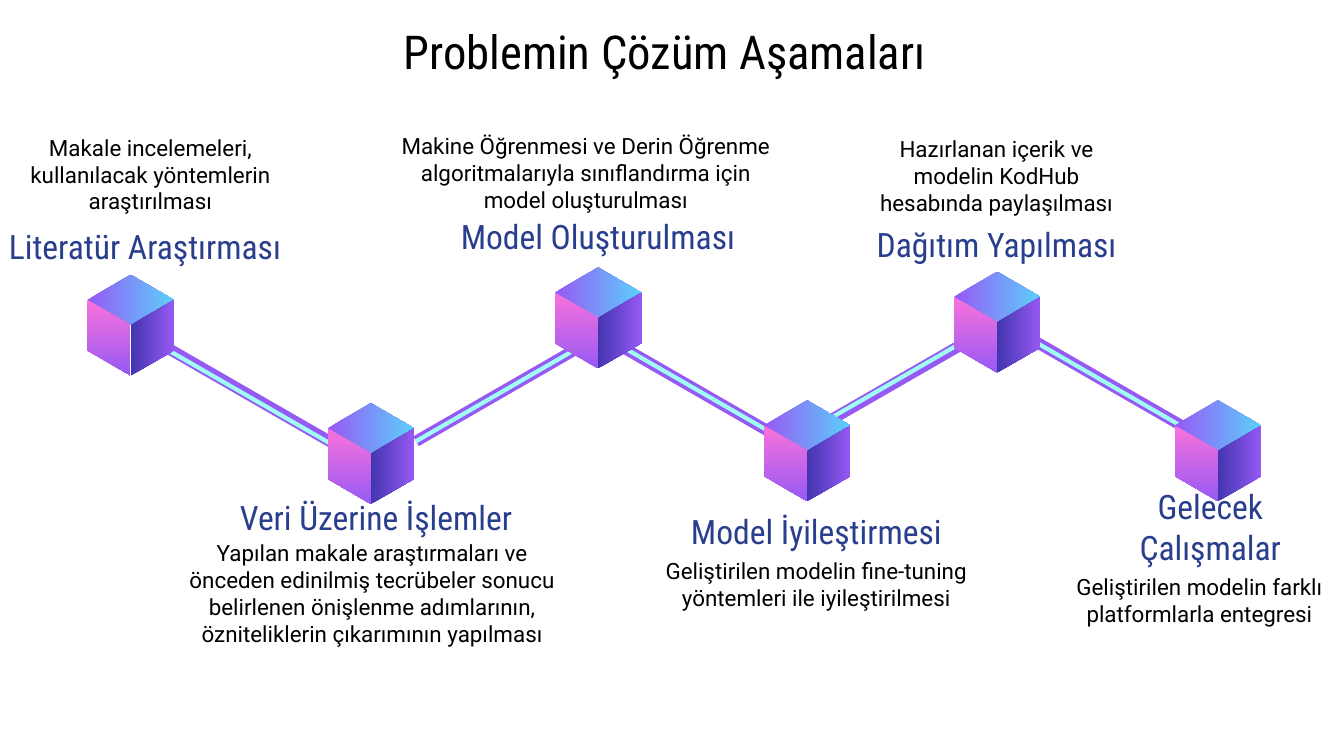
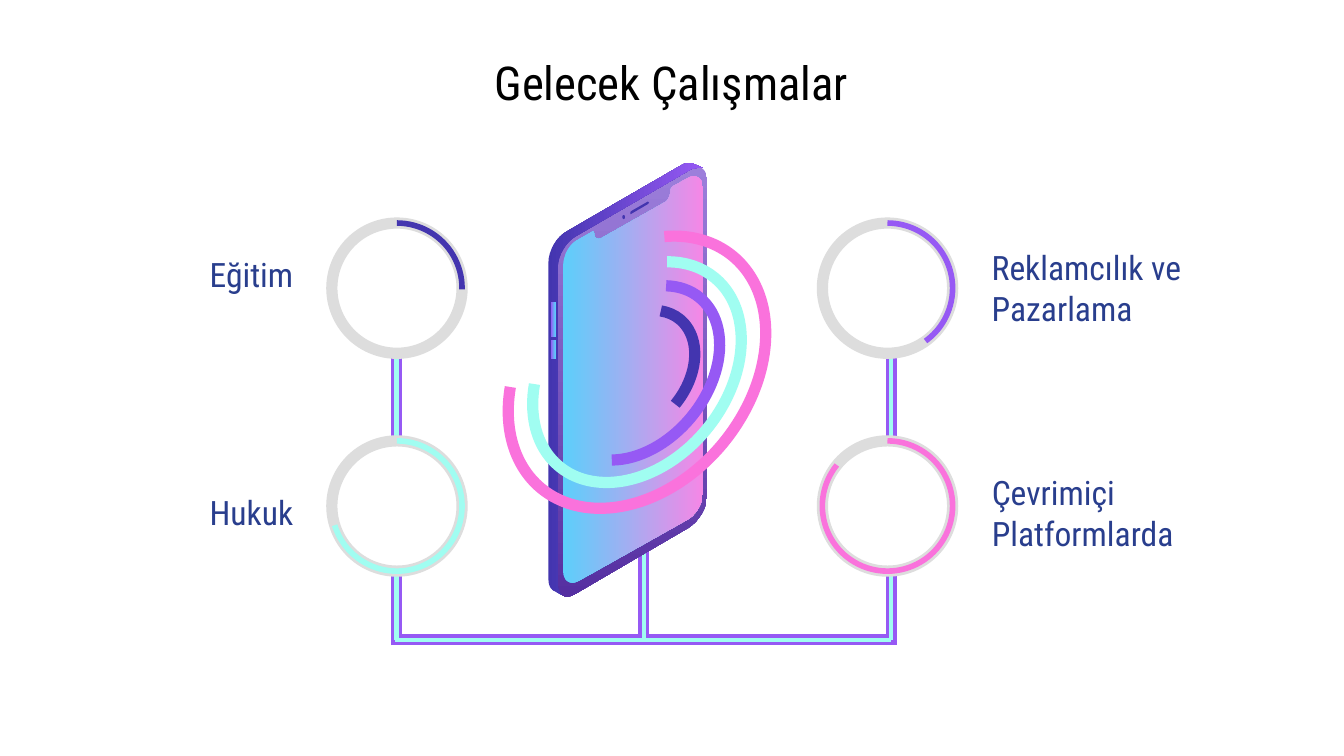
from pptx import Presentation
from pptx.dml.color import RGBColor
from pptx.enum.shapes import MSO_CONNECTOR, MSO_SHAPE
from pptx.enum.text import MSO_ANCHOR, MSO_AUTO_SIZE, PP_ALIGN
from pptx.oxml.ns import qn
from pptx.util import Pt
from lxml.etree import SubElement

BLACK, WHITE, NAVY, GREY = "000000", "FFFFFF", "293E8D", "DDDDDD"
PURPLE, AQUA, PINK, INDIGO, SKY = "9659F4", "A0FDF1", "FA72DC", "4335AF", "5CCFFB"
HEADING_FONT, BODY_FONT = "Roboto Condensed", "Roboto"
WIRE_STYLES = ((PURPLE, 6), (AQUA, 2.25))

CUBE_WIDTH, CUBE_HEIGHT = 46.5, 54
LINK_RUN, LINK_DROP = 100.4, 57.8
LINKS = [
    (323.3, 178.6, -1, 0, 0),
    (525.6, 178.6, -1, -2.9, 0.7),
    (321.8, 179.3, 1, 11.5, 6.5),
    (88.6, 185.8, 1, 2.2, 2.2),
    (555.8, 183.6, 1, 0.7, 0.7),
]
STAGES = [
    ((46.8, 147.2), "Literatür Araştırması", (-6.5, 121.7, 168.5, 20.2),
     "Makale incelemeleri, kullanılacak yöntemlerin araştırılması", (-3.6, 71.3, 168.5, 43.9)),
    ((175.5, 216), "Veri Üzerine İşlemler", (120.2, 267.1, 162.7, 20.2),
     "Yapılan makale araştırmaları ve önceden edinilmiş tecrübeler sonucu belirlenen "
     "önişlenme adımlarının, özniteliklerin çıkarımının yapılması", (93.6, 295.9, 211.7, 43.9)),
    ((297.2, 143.3), "Model Oluşturulması", (234.7, 116.6, 171.4, 20.2),
     "Makine Öğrenmesi ve Derin Öğrenme algoritmalarıyla sınıflandırma için model oluşturulması",
     (205.9, 70.6, 216, 43.9)),
    ((409.2, 214.5), "Model İyileştirmesi", (338.4, 272.9, 198, 23),
     "Geliştirilen modelin fine-tuning yöntemleri ile iyileştirilmesi", (347, 290.9, 180.7, 43.9)),
    ((511, 145.6), "Dağıtım Yapılması", (460.1, 119.5, 147.6, 23),
     "Hazırlanan içerik ve modelin KodHub hesabında paylaşılması", (460.1, 72, 147.6, 43.9)),
    ((629.3, 214.5), "Gelecek Çalışmalar", (574.6, 272, 147.6, 20.2),
     "Geliştirilen modelin farklı platformlarla entegresi", (568.8, 299.5, 147.6, 43.9)),
]

PHONE_BACK = [
    (79.2, 2.2), (78.5, 2.2, 77, 2.9, 74.9, 3.6), (14.4, 38.9),
    (9.4, 41.8, 5, 49.7, 5, 55.4), (5, 225.4), (5, 229.7, 7.2, 232.6, 10.1, 232.6),
    (11.5, 232.6, 13, 231.8, 14.4, 231.1), (74.9, 195.8),
    (80.6, 192.2, 85, 185, 85, 178.6), (85, 9.4), (85, 5, 82.8, 2.2, 79.2, 2.2),
]
PHONE_SCREEN = [
    (16.6, 41), (23, 37.4), (23.8, 36.7, 24.5, 36.7, 24.5, 38.2),
    (24.5, 40.3, 26.6, 41.8, 28.8, 40.3), (61.9, 21.6),
    (64.1, 20.9, 65.5, 17.3, 65.5, 15.1), (65.5, 13.7, 66.2, 13, 67.7, 12.2),
    (74.2, 8.6), (78.5, 5.8, 82.8, 7.9, 82.8, 13.7), (82.8, 177.1),
    (82.8, 182.9, 78.5, 189.4, 74.2, 191.5), (16.6, 223.9),
    (11.5, 226.8, 7.9, 223.9, 7.9, 218.9), (7.9, 55.4),
    (7.9, 49.7, 11.5, 43.2, 16.6, 41),
]
PHONE_EDGE = [
    (75.6, 0), (74.2, 0, 72.7, 0.7, 71.3, 1.4), (10.1, 36.7),
    (4.3, 39.6, 0, 47.5, 0, 53.3), (0, 223.2), (0, 226.8, 1.4, 229, 3.6, 229.7),
    (7.2, 231.8), (5.8, 230.4, 5, 228.2, 5, 225.4), (5, 56.2),
    (5, 49.7, 9.4, 42.5, 14.4, 39.6), (76.3, 3.6),
    (77.8, 2.9, 79.2, 2.9, 80.6, 2.9), (82.8, 2.9), (77.8, 0.7),
    (77, 0, 76.3, 0, 75.6, 0),
]
PHONE_SPEAKER = [
    (44.6, 27.4), (53.3, 22.3), (54, 21.6), (53.3, 20.9), (44.6, 25.9),
    (43.9, 26.6), (43.9, 27.7),
]

RING_SIZE = 69.8
TOPICS = [
    ((177.8, 236.2), WHITE, AQUA, 97.69, "Hukuk", (20.2, 243.4, 144, 61.9), PP_ALIGN.RIGHT),
    ((440.6, 236.2), WHITE, PINK, 131.42, "Çevrimiçi Platformlarda",
     (524.2, 243.4, 167, 62.6), PP_ALIGN.LEFT),
    ((177.8, 119.5), None, INDIGO, 0.65, "Eğitim", (20.2, 100.8, 144, 92.2), PP_ALIGN.RIGHT),
    ((440.6, 119.5), None, PURPLE, 32.56, "Reklamcılık ve Pazarlama",
     (524.2, 127.4, 144, 53.3), PP_ALIGN.LEFT),
]
WAVES = [
    ((281.5, 118.8, 119.5, 161.3), PINK, 145.15, 80.31),
    ((293, 133.9, 96.5, 131), AQUA, 147.47, 80.31),
    ((304.6, 147.6, 74.2, 104.4), PURPLE, 149.1, 40.28),
    ((313.9, 162.7, 54, 73.4), INDIGO, 151.35, 0),
]


def color(value):
    return RGBColor.from_string(value)


def lengths(box):
    return [Pt(value) for value in box]


def write(box, text, size, font, ink, align):
    frame = box.text_frame
    frame.word_wrap = True
    frame.auto_size = MSO_AUTO_SIZE.NONE
    frame.vertical_anchor = MSO_ANCHOR.MIDDLE
    frame.margin_left = frame.margin_right = Pt(7.2)
    frame.margin_top = frame.margin_bottom = Pt(7.2)
    para = frame.paragraphs[0]
    para.alignment = align
    span = para.add_run()
    span.text = text
    span.font.size = Pt(size)
    span.font.name = font
    span.font.color.rgb = color(ink)


def add_title(page, box, text):
    title = page.shapes.title
    title.left, title.top, title.width, title.height = lengths(box)
    write(title, text, 25, HEADING_FONT, BLACK, PP_ALIGN.CENTER)


def add_heading(page, box, text, align):
    write(page.shapes.add_textbox(*lengths(box)), text, 18, HEADING_FONT, NAVY, align)


def add_note(page, box, text):
    write(page.shapes.add_textbox(*lengths(box)), text, 12, BODY_FONT, BLACK, PP_ALIGN.CENTER)


def paint(shape, fill=None, line=None, width=0):
    shape.shadow.inherit = False
    if fill:
        shape.fill.solid()
        shape.fill.fore_color.rgb = color(fill)
    else:
        shape.fill.background()
    if line:
        shape.line.color.rgb = color(line)
        shape.line.width = Pt(width)
    else:
        shape.line.fill.background()


def blend(shape, start, end, downward=False):
    paint(shape)
    shape.fill.gradient()
    shape.fill.gradient_angle = 270 if downward else 0
    for stop, value, position in zip(shape.fill.gradient_stops, (start, end), (0, 1)):
        stop.color.rgb = color(value)
        stop.position = position


def add_wire(page, start, end, ink, width):
    wire = page.shapes.add_connector(MSO_CONNECTOR.STRAIGHT, *lengths(start + end))
    wire.line.color.rgb = color(ink)
    wire.line.width = Pt(width)
    SubElement(wire._element.spPr, qn("a:effectLst"))


def add_arc(page, box, ink, width, start, end):
    arc = page.shapes.add_shape(MSO_SHAPE.ARC, *lengths(box))
    arc.adjustments[0] = start
    arc.adjustments[1] = end
    paint(arc, line=ink, width=width)
    return arc


def flatten(outline, steps=8):
    points = []
    for part in outline:
        if len(part) == 2:
            points.append(part)
            continue
        knots = [points[-1], part[:2], part[2:4], part[4:]]
        for step in range(1, steps + 1):
            t = step / steps
            weights = ((1 - t) ** 3, 3 * t * (1 - t) ** 2, 3 * t * t * (1 - t), t ** 3)
            points.append(tuple(sum(w * knot[axis] for w, knot in zip(weights, knots))
                                for axis in (0, 1)))
    return points


def add_outline(page, origin, outline):
    left, top = origin
    points = [(Pt(left + x), Pt(top + y)) for x, y in flatten(outline)]
    builder = page.shapes.build_freeform(*points[0])
    builder.add_line_segments(points[1:], close=True)
    return builder.convert_to_shape()


def add_cube(page, origin):
    middle, right = CUBE_WIDTH / 2, CUBE_WIDTH
    upper, center, lower, bottom = (CUBE_HEIGHT * part / 4 for part in (1, 2, 3, 4))
    lid = [(middle, center), (0, upper), (middle, 0), (right, upper)]
    left_side = [(0, upper), (0, lower), (middle, bottom), (middle, center)]
    right_side = [(right, upper), (middle, center), (middle, bottom), (right, lower)]
    blend(add_outline(page, origin, lid), PURPLE, SKY)
    blend(add_outline(page, origin, left_side), PINK, PURPLE, downward=True)
    blend(add_outline(page, origin, right_side), INDIGO, PURPLE)


def add_link(page, start, direction, shift):
    for (ink, width), (across, down) in zip(WIRE_STYLES, ((0, 0), shift)):
        x, y = start[0] + across, start[1] + down
        add_wire(page, (x, y), (x + direction * LINK_RUN, y + LINK_DROP), ink, width)


def add_phone(page, origin):
    left, top = origin
    blend(add_outline(page, origin, PHONE_BACK), "9D7FDB", "552FA1", downward=True)
    blend(add_outline(page, origin, PHONE_SCREEN), SKY, "F587E6")
    blend(add_outline(page, origin, PHONE_EDGE), INDIGO, PURPLE)
    for y, height in ((74.9, 18.7), (95, 10.1)):
        box = lengths((left + 1.4, top + y, 2.4, height))
        blend(page.shapes.add_shape(MSO_SHAPE.RECTANGLE, *box), PURPLE, SKY)
    paint(add_outline(page, origin, PHONE_SPEAKER), INDIGO)
    camera = lengths((left + 39.6, top + 28.1, 1.4, 2.2))
    paint(page.shapes.add_shape(MSO_SHAPE.OVAL, *camera), INDIGO)


def add_wiring(page, box):
    left, top, width, height = box
    right, middle, bottom = left + width, left + width / 2, top + height
    for (ink, weight), overshoot in zip(WIRE_STYLES, (2.9, 0)):
        add_wire(page, (middle, bottom - 64.8), (middle, bottom), ink, weight)
        for x in (left, right):
            add_wire(page, (x, bottom + overshoot), (x, top), ink, weight)
        add_wire(page, (left - 0.7, bottom), (right, bottom), ink, weight)


def add_ring(page, origin, fill, ink, end):
    box = origin + (RING_SIZE, RING_SIZE)
    ring = page.shapes.add_shape(MSO_SHAPE.OVAL, *lengths(box))
    paint(ring, fill, GREY, 6)
    add_arc(page, box, ink, 3, 162, end)


def build_stages(page):
    add_title(page, (36.7, 7.2, 638.6, 40.3), "Problemin Çözüm Aşamaları")
    for x, y, direction, across, down in LINKS:
        add_link(page, (x, y), direction, (across, down))
    for origin, heading, heading_box, note, note_box in STAGES:
        add_cube(page, origin)
        add_heading(page, heading_box, heading, PP_ALIGN.CENTER)
        add_note(page, note_box, note)


def build_future(page):
    add_title(page, (40.3, 23.8, 638.6, 40.3), "Gelecek Çalışmalar")
    add_wiring(page, (212.4, 189.4, 265, 153.3))
    add_phone(page, (293.8, 87.1))
    for origin, fill, ink, end, label, label_box, align in TOPICS:
        add_ring(page, origin, fill, ink, end)
        add_heading(page, label_box, label, align)
    for box, ink, start, end in WAVES:
        add_arc(page, box, ink, 6, start, end).rotation = 39.5


def main():
    deck = Presentation()
    deck.slide_width, deck.slide_height = Pt(720), Pt(405)
    for build in (build_stages, build_future):
        build(deck.slides.add_slide(deck.slide_layouts[5]))
    deck.save("out.pptx")


if __name__ == "__main__":
    main()
